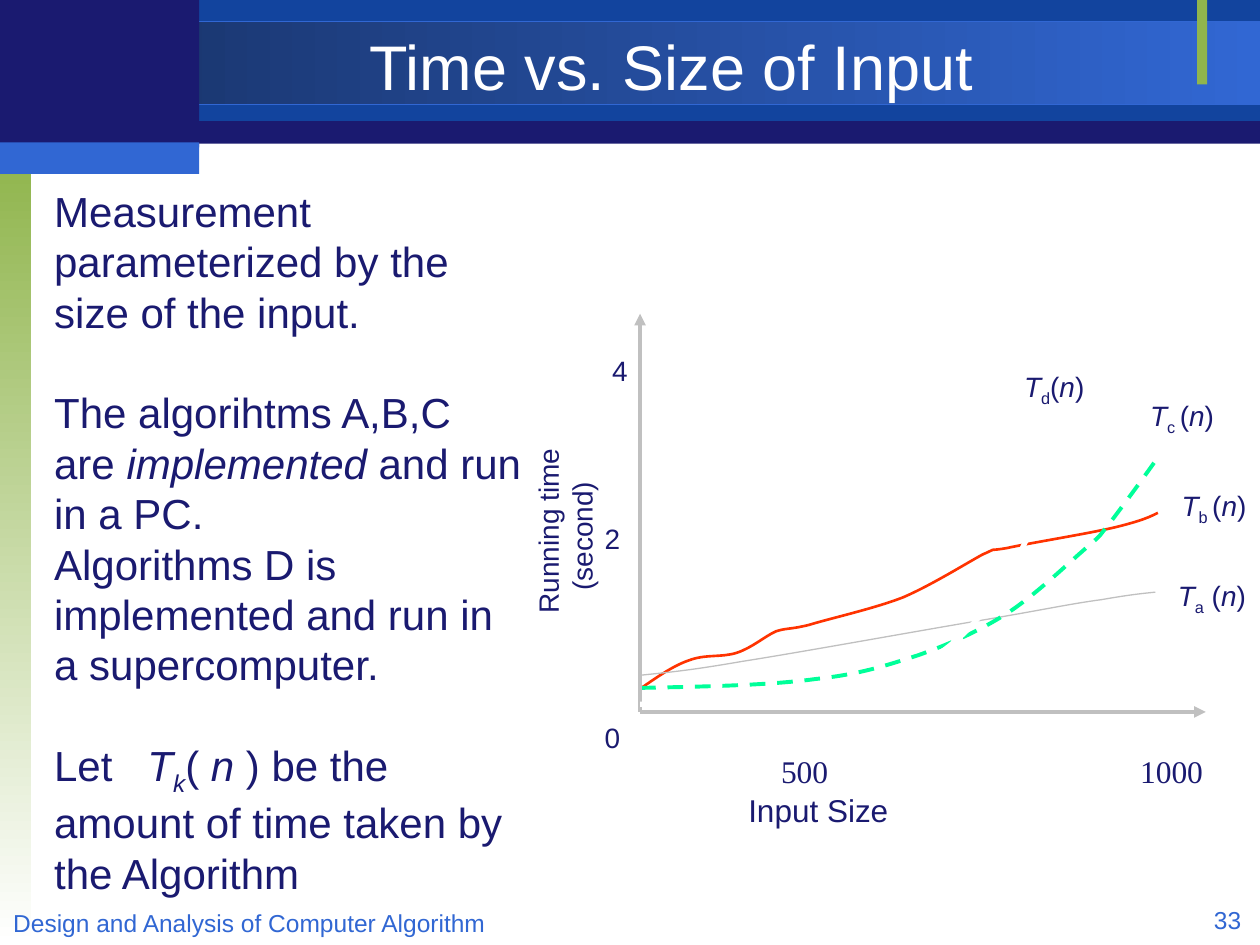
import pptx
import pptx.util
import pptx.dml.color
import pptx.enum.dml
import pptx.enum.shapes
import pptx.enum.text
import pptx.oxml.ns
from lxml import etree

RGB = pptx.dml.color.RGBColor
NAVY = RGB(0x1A, 0x1A, 0x70)
DEEP = RGB(0x12, 0x44, 0x9E)
DARK = RGB(0x17, 0x30, 0x62)
BLUE = RGB(0x31, 0x67, 0xD3)
GREEN = RGB(0x90, 0xB5, 0x4D)
WHITE = RGB(0xFF, 0xFF, 0xFF)
GRAY = RGB(0xC0, 0xC0, 0xC0)
RED = RGB(0xFF, 0x33, 0x00)
MINT = RGB(0x00, 0xFF, 0x99)
ALIGN = pptx.enum.text.PP_ALIGN
FIT = pptx.enum.text.MSO_AUTO_SIZE
Pt = pptx.util.Pt
COLS, ROWS = 100, 75


def unit(n):
    """Turn a count of square grid cells into a length."""
    return pptx.util.Inches(n / 10)


def sub(root, tag, **attrs):
    return etree.SubElement(root, pptx.oxml.ns.qn(tag), **attrs)


def band(slide, box, *tones, angle=0, edge=None):
    """Add a bar with a plain fill, or a gradient for two tones."""
    shape = slide.shapes.add_shape(
        pptx.enum.shapes.MSO_SHAPE.RECTANGLE, *map(unit, box))
    shape.shadow.inherit = False
    if len(tones) == 1:
        shape.fill.solid()
        shape.fill.fore_color.rgb = tones[0]
    else:
        shape.fill.gradient()
        shape.fill.gradient_angle = angle
        for stop, tone in zip(shape.fill.gradient_stops, tones):
            stop.color.rgb = tone
    if edge:
        shape.line.color.rgb = edge
        shape.line.width = Pt(0.75)
    else:
        shape.line.fill.background()


def write(para, runs, size, color=NAVY, font="Arial"):
    """Add (text, style) runs: i is italic, s subscript, w widely spaced."""
    for text, style in runs:
        run = para.add_run()
        run.text = text
        run.font.name, run.font.size = font, Pt(size)
        run.font.color.rgb = color
        run.font.italic = "i" in style
        if "s" in style:
            run.font._element.set("baseline", "-25000")
        if "w" in style:
            run.font._element.set("spc", "1330")


def label(slide, box, runs, size=16, wrap=False, align=ALIGN.LEFT, **look):
    text = slide.shapes.add_textbox(*map(unit, box))
    frame = text.text_frame
    frame.word_wrap = wrap
    frame.auto_size = FIT.NONE if wrap else FIT.SHAPE_TO_FIT_TEXT
    para = frame.paragraphs[0]
    para.alignment = align
    write(para, runs, size, **look)
    return text


def place(holder, box):
    """Move a placeholder in front of the bands and fit it to box."""
    holder.left, holder.top, holder.width, holder.height = map(unit, box)
    tree = holder._element.getparent()
    tree.append(holder._element)
    holder.text_frame.auto_size = FIT.NONE
    return holder.text_frame


def title(slide):
    frame = place(slide.shapes.title, (15.8, 2.3, 75, 5.8))
    frame.vertical_anchor = pptx.enum.text.MSO_ANCHOR.MIDDLE
    frame.paragraphs[0].alignment = ALIGN.CENTER
    write(frame.paragraphs[0], [("Time vs. Size of Input", "")], 36, WHITE)


def body(slide):
    frame = place(slide.placeholders[1], (3.3, 14.2, 39.2, 57.6))
    items = [
        (0, [("Measurement parameterized by the size of the input.", "")]),
        (28.8, [("The algorihtms A,B,C are ", ""), ("implemented", "i"),
                (" and run in a PC.", "")]),
        (0, [("Algorithms D is implemented and run in a supercomputer.",
              "")]),
        (28.8, [("Let", ""), (" ", "w"), ("T", "i"), ("k", "is"),
                ("(", ""), (" n", "i"),
                (" ) be the amount of time taken by the Algorithm", "")]),
    ]
    for n, (gap, runs) in enumerate(items):
        para = frame.paragraphs[0] if n == 0 else frame.add_paragraph()
        para.line_spacing = 1.0
        para.space_before, para.space_after = Pt(gap), Pt(0)
        props = para._p.get_or_add_pPr()
        props.set("marL", "0")
        props.set("indent", "0")
        sub(props, "a:buNone")
        write(para, runs, 24)


def curve(shapes, points, color, width, dash=None):
    """Draw a chain of cubic curves: a start, then three points for each."""
    spots = [tuple(map(unit, point)) for point in points]
    pen = shapes.build_freeform(*spots[0])
    pen.add_line_segments(spots[1:], close=False)
    shape = pen.convert_to_shape()
    track = shape._element.find(".//" + pptx.oxml.ns.qn("a:path"))
    legs = track.findall(pptx.oxml.ns.qn("a:lnTo"))
    for n in range(0, len(legs), 3):
        bend = sub(track, "a:cubicBezTo")
        for leg in legs[n:n + 3]:
            bend.append(leg[0])
            track.remove(leg)
    shape.shadow.inherit = False
    shape.fill.background()
    shape.line.color.rgb, shape.line.width = color, Pt(width)
    if dash:
        shape.line.dash_style = dash


def arrow(shapes, start, end):
    line = shapes.add_connector(pptx.enum.shapes.MSO_CONNECTOR.STRAIGHT,
                                *map(unit, start + end))
    line.line.color.rgb, line.line.width = GRAY, Pt(2.25)
    sub(line.line._get_or_add_ln(), "a:tailEnd", type="triangle")
    sub(line._element.spPr, "a:effectLst")


def plot(slide):
    shapes = slide.shapes.add_group_shape().shapes
    curve(shapes, [
        (50.9, 54.6), (52.2, 53.7), (53.5, 52.8), (54.7, 52.4),
        (56, 51.9), (57.3, 52.2), (58.5, 51.8),
        (59.7, 51.4), (60.7, 50.5), (61.6, 50.1),
        (62.6, 49.8), (62.5, 50), (64.2, 49.6),
        (65.8, 49.1), (69.4, 48.3), (71.7, 47.4),
        (74, 46.4), (76.7, 44.7), (78, 44),
        (79.4, 43.4), (78.1, 43.8), (79.9, 43.5),
        (81.7, 43.1), (86.7, 42.3), (88.7, 41.8),
        (90.7, 41.3), (91.3, 41), (91.9, 40.7)], RED, 1.5)
    curve(shapes, [
        (50.8, 53.6), (52.6, 53.4), (54.3, 53.3), (58.9, 52.5),
        (63.4, 51.8), (73.3, 50), (78.1, 49.2),
        (82.8, 48.4), (85.1, 47.9), (87.4, 47.6),
        (89.7, 47.2), (90.7, 47.1), (91.7, 47)], GRAY, 0.75)
    curve(shapes, [
        (50.8, 54.6), (55.9, 54.5), (61, 54.4), (64.7, 53.9),
        (68.4, 53.5), (70.4, 52.8), (72.9, 52),
        (75.4, 51.1), (77.7, 50.1), (79.9, 48.7),
        (82.1, 47.3), (84.8, 44.7), (86.2, 43.5),
        (87.6, 42.3), (87.1, 42.7), (88.1, 41.5),
        (89, 40.3), (90.5, 38.3), (91.9, 36.3)],
        MINT, 2.25, pptx.enum.dml.MSO_LINE.DASH)
    zero = (50.8, 56.5)
    for end in ((95.7, 56.5), (50.8, 24.9)):
        arrow(shapes, zero, end)
    curve(shapes, [
        (50.8, 55.9), (59.7, 55.8), (68.5, 55.8), (74.2, 52.1),
        (79.9, 48.4), (82.4, 41.1), (84.9, 33.7)], WHITE, 3)


def labels(slide):
    for mark, x, y, wide in (("4", 47.6, 27.6, 3.8), ("2", 47, 40.9, 3.2),
                             ("0", 47, 56.7, 3.2)):
        label(slide, (x, y, wide, 3.7), [(mark, "")])
    for low, mid, x, y, wide in (
            ("a", " (", 92.5, 45.4, 7.5), ("b ", "(", 92.8, 38.3, 7.2),
            ("c ", "(", 90.3, 31.1, 7.2), ("d", "(", 80.3, 28.8, 6.9)):
        label(slide, (x, y, wide, 4.1),
              [("T", "i"), (low, "s"), (mid, ""), ("n", "i"), (")", "")])
    for mark, x, wide in (("500", 61, 5.9), ("1000", 89.5, 7)):
        label(slide, (x, 59.2, wide, 4), [(mark, "")], 18,
              font="Times New Roman")
    label(slide, (58.4, 62.3, 13.8, 4), [("Input Size", "")], 18)

    side = label(slide, (34.4, 36, 20.9, 6.4), [("Running time", "")],
                 wrap=True)
    side.rotation = 270
    para = side.text_frame.add_paragraph()
    para._p.get_or_add_pPr().set("marL", str(unit(1.8)))
    write(para, [("(second)", "")], 16)


def main():
    deck = pptx.Presentation()
    deck.slide_width, deck.slide_height = unit(COLS), unit(ROWS)
    slide = deck.slides.add_slide(deck.slide_layouts[1])
    band(slide, (0, 0.1, COLS, 11.3), NAVY)
    band(slide, (15.8, 0, 84.2, 9.6), DEEP)
    band(slide, (0, 1.7, COLS, 6.6), DARK, BLUE, edge=BLUE)
    band(slide, (0, 12.5, 2.5, 62.5), GREEN, WHITE, angle=270)
    band(slide, (95, 0, 0.8, 6.7), GREEN)
    band(slide, (0, 0, 15.8, 11.7), NAVY)
    band(slide, (0, 11.3, 15.8, 2.5), BLUE)
    body(slide)
    plot(slide)
    labels(slide)
    title(slide)
    label(slide, (-0.2, 71.6, 40, 2.7),
          [("Design and Analysis of Computer Algorithm", "")], 14,
          wrap=True, align=ALIGN.CENTER, color=BLUE)
    label(slide, (76.2, 71.3, 23.3, 2.7), [("33", "")], 14,
          wrap=True, align=ALIGN.RIGHT, color=BLUE)
    deck.save("out.pptx")


if __name__ == "__main__":
    main()
